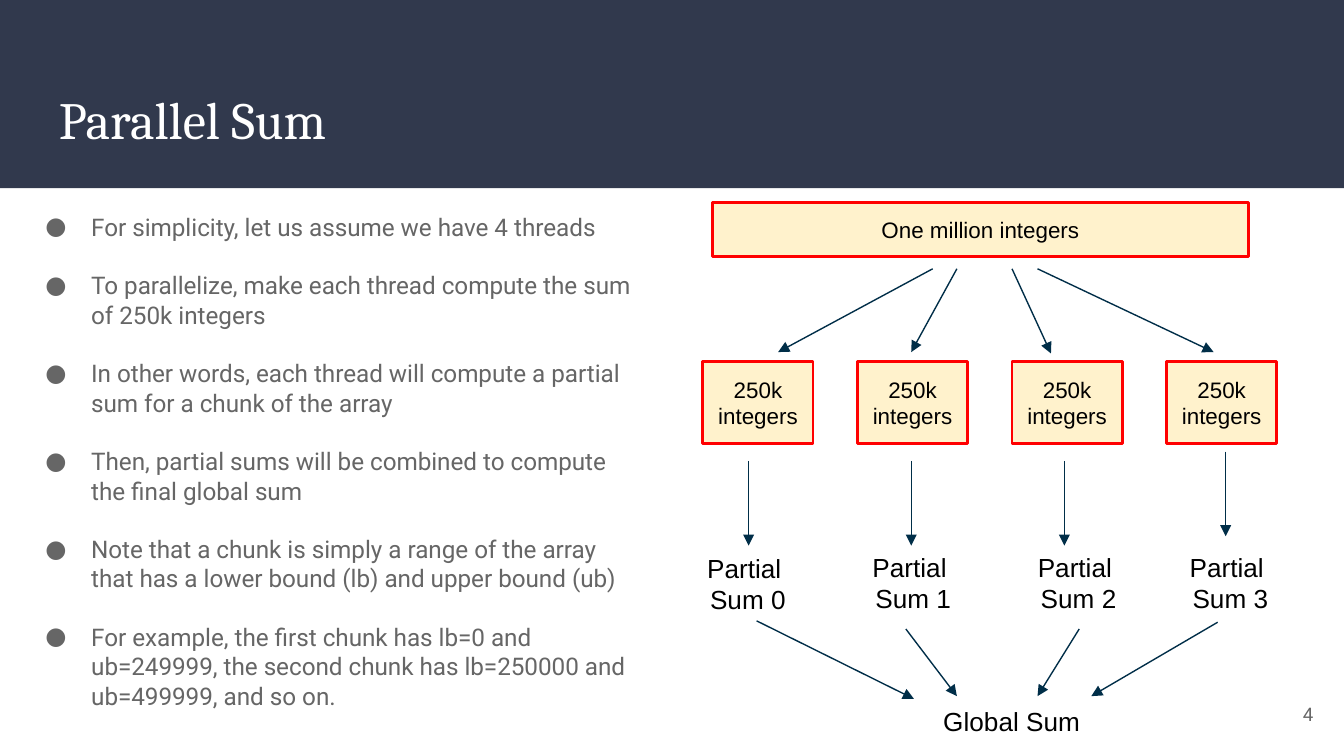
from lxml import etree
from pptx import Presentation
from pptx import util as u
from pptx.dml.color import RGBColor
from pptx.enum import shapes, text
from pptx.oxml.ns import qn

NAVY = RGBColor(0x31, 0x39, 0x4D)
INK = RGBColor(0x00, 0x2E, 0x48)
GREY = RGBColor(0x66, 0x66, 0x66)
CREAM = RGBColor(0xFF, 0xF2, 0xCC)
RED = RGBColor(0xFF, 0x00, 0x00)
WHITE = RGBColor(0xFF, 0xFF, 0xFF)
BLACK = RGBColor(0x00, 0x00, 0x00)

LEFT, CENTER, RIGHT = text.PP_ALIGN.LEFT, text.PP_ALIGN.CENTER, text.PP_ALIGN.RIGHT
TOP, MIDDLE = text.MSO_ANCHOR.TOP, text.MSO_ANCHOR.MIDDLE

prs = Presentation()
prs.slide_width = u.Inches(10)
prs.slide_height = prs.slide_width * 9 // 16
slide = prs.slides.add_slide(prs.slide_layouts[6])


def write(holder, lines, font, size, color, align=LEFT, anchor=TOP, wrap=True, inset=0.1):
    """Fill a shape with one paragraph per line; inset is the top and bottom margin."""
    frame = holder.text_frame
    frame_format = {"word_wrap": wrap, "vertical_anchor": anchor,
                    "margin_left": u.Inches(0.1), "margin_right": u.Inches(0.1),
                    "margin_top": u.Inches(inset), "margin_bottom": u.Inches(inset)}
    for name, value in frame_format.items():
        setattr(frame, name, value)
    frame.text = "\n".join(lines)
    for paragraph in frame.paragraphs:
        paragraph.alignment = align
        run_font = paragraph.runs[0].font
        for name, value in {"name": font, "size": u.Pt(size)}.items():
            setattr(run_font, name, value)
        run_font.color.rgb = color
    return frame


def add_box(left, top, width, height, fill, line=None):
    box = slide.shapes.add_shape(shapes.MSO_SHAPE.RECTANGLE, *map(u.Inches, (left, top, width, height)))
    box.shadow.inherit = False
    box.fill.solid()
    box.fill.fore_color.rgb = fill
    if line is None:
        box.line.fill.background()
    else:
        box.line.color.rgb = line
        box.line.width = u.Pt(1.5)
    return box


# Header, bullets and page number
add_box(0, 0, 10, 1.4, NAVY)
title = slide.shapes.add_textbox(*map(u.Inches, (0.34, 0.55, 9.32, 0.68)))
write(title, ["Parallel Sum"], "Cambria", 28, WHITE)

points = [
    "For simplicity, let us assume we have 4 threads",
    "To parallelize, make each thread compute the sum of 250k integers",
    "In other words, each thread will compute a partial sum for a chunk of the array",
    "Then, partial sums will be combined to compute the final global sum",
    "Note that a chunk is simply a range of the array that has a lower bound (lb) and upper bound (ub)",
    "For example, the first chunk has lb=0 and ub=249999, the second chunk has lb=250000 and "
    "ub=499999, and so on.",
]
body = slide.shapes.add_textbox(*map(u.Inches, (0.08, 1.6, 4.81, 3.66)))
body_frame = write(body, points, "Roboto", 13, GREY, anchor=MIDDLE)
for index, point in enumerate(body_frame.paragraphs):
    point.line_spacing = u.Pt(15.7)
    point.space_before = u.Pt(15.7 if index else 0)
    properties = point._p.get_or_add_pPr()
    properties.set("marL", str(u.Inches(0.5)))
    properties.set("indent", str(u.Inches(-0.34)))
    bullet_color = etree.SubElement(properties, qn("a:buClr"))
    etree.SubElement(bullet_color, qn("a:srgbClr"), val=str(GREY))
    etree.SubElement(properties, qn("a:buFont"), typeface="Roboto")
    etree.SubElement(properties, qn("a:buChar"), char="●")

page_number = slide.shapes.add_textbox(*map(u.Inches, (9.27, 5.1, 0.6, 0.43)))
write(page_number, ["4"], "Roboto", 10, GREY, RIGHT, MIDDLE)

# Whole array, its four chunks and their sums
whole_array = add_box(5.3, 1.51, 3.99, 0.4, CREAM, RED)
write(whole_array, ["One million integers"], "Arial", 12, BLACK, CENTER, MIDDLE)

partial_sums = [(5.16, 4.06), (6.39, 4.05), (7.62, 4.05), (8.75, 4.05)]
for thread, (left, top) in enumerate(partial_sums):
    chunk = add_box(5.23 + 1.15 * thread, 2.69, 0.82, 0.61, CREAM, RED)
    write(chunk, ["250k integers"], "Arial", 12, BLACK, CENTER, MIDDLE)
    partial_sum = slide.shapes.add_textbox(*map(u.Inches, (left, top, 0.81, 0.57)))
    write(partial_sum, ["Partial ", f"Sum {thread}"], "Arial", 14, BLACK, CENTER, wrap=False, inset=0.05)

global_sum = slide.shapes.add_textbox(*map(u.Inches, (6.92, 5.2, 1.23, 0.34)))
write(global_sum, ["Global Sum"], "Arial", 14, BLACK, wrap=False, inset=0.05)

# Arrows as x1, y1, x2, y2
split_arrows = [(6.94, 2, 5.79, 2.62), (7.12, 2, 6.78, 2.62), (7.53, 2, 7.82, 2.63), (7.72, 2, 9.03, 2.62)]
sum_arrows = [(x, y, x, y + 0.63) for x, y in [(5.57, 3.43), (6.78, 3.43), (7.92, 3.43), (9.12, 3.36)]]
combine_arrows = [(5.63, 4.62, 6.8, 5.2), (6.74, 4.68, 7.12, 5.18),
                  (8.03, 4.68, 7.72, 5.18), (9.06, 4.63, 8.12, 5.18)]
for ends in split_arrows + sum_arrows + combine_arrows:
    arrow = slide.shapes.add_connector(shapes.MSO_CONNECTOR.STRAIGHT, *map(u.Inches, ends))
    arrow.line.color.rgb = INK
    arrow.line.width = u.Pt(0.75)
    etree.SubElement(arrow.line._get_or_add_ln(), qn("a:tailEnd"), type="triangle")
    etree.SubElement(arrow._element.spPr, qn("a:effectLst"))

prs.save("out.pptx")
